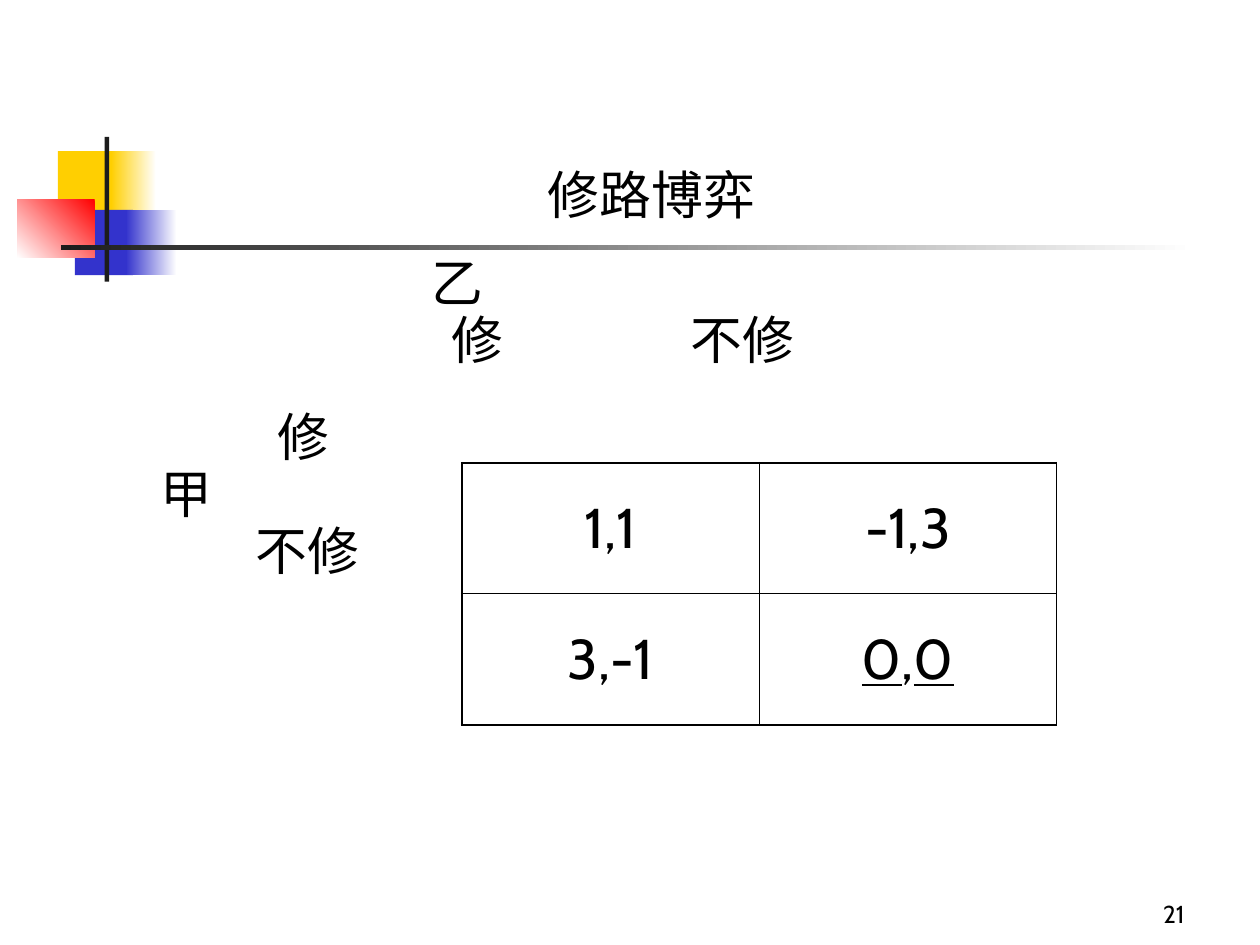
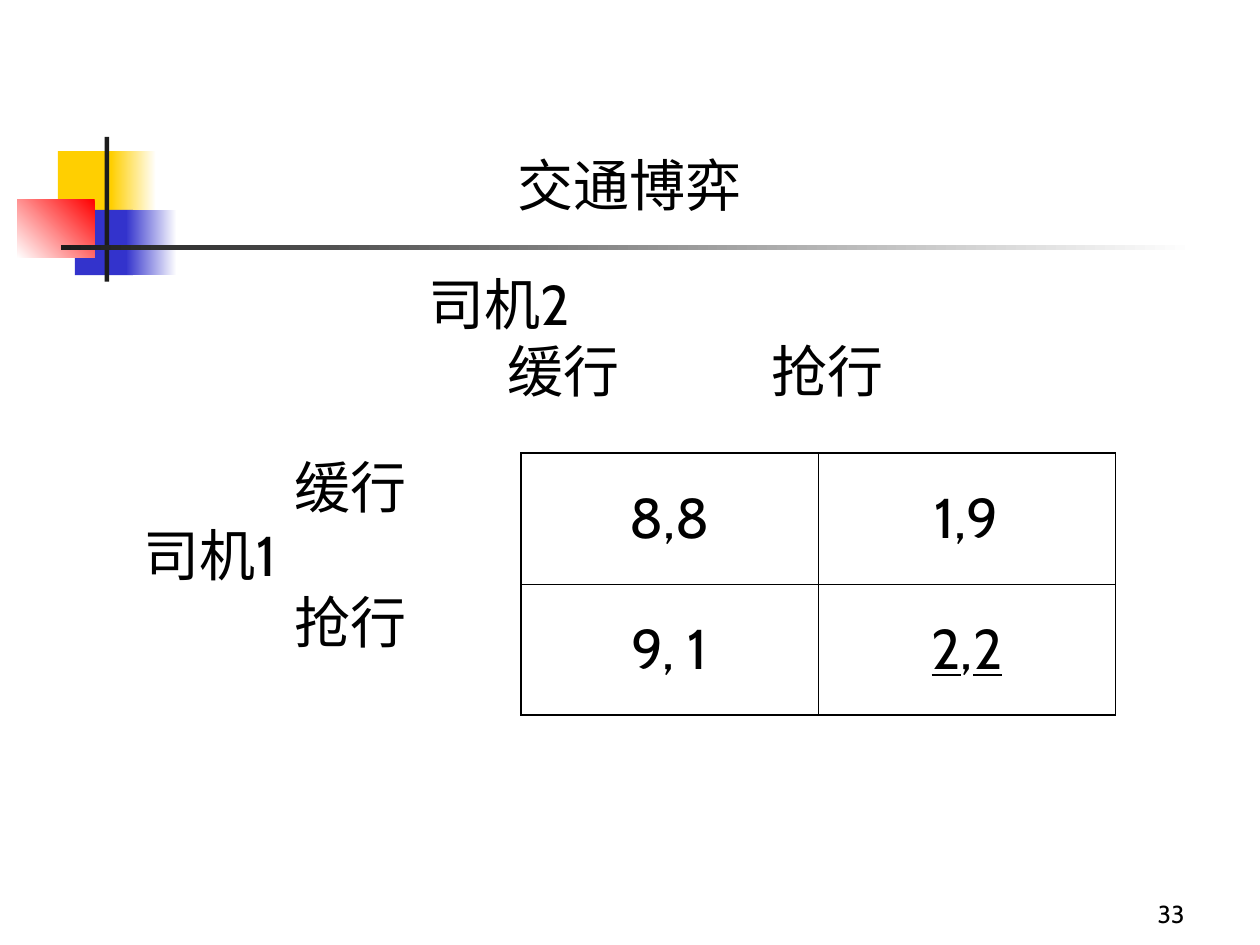
from pptx import Presentation
from pptx.dml.color import RGBColor
from pptx.enum.shapes import MSO_SHAPE
from pptx.enum.text import MSO_ANCHOR, MSO_AUTO_SIZE, PP_ALIGN
from pptx.oxml.ns import qn
from pptx.util import Cm, Pt
from lxml.etree import SubElement

FONT = "Cabin"
COLORS = {"ink": "000000", "white": "FFFFFF", "gold": "FFCF01",
          "blue": "3333CC", "red": "FF0000", "dark": "1C1C1C"}
THICK, THIN = 1.08, 0.45

DECOR = [
    ((1.17, 3.05, 1.22, 1.32), ["gold"], 0),
    ((2.24, 3.05, 0.91, 1.32), ["white", "gold"], 180),
    ((1.51, 4.23, 1.17, 1.32), ["blue"], 0),
    ((2.54, 4.23, 1.02, 1.32), ["white", "blue"], 180),
    ((0.35, 4.02, 1.56, 1.18), ["red", "white"], 225),
    ((2.11, 2.76, 0.09, 2.92), ["dark"], 0),
    ((1.23, 4.94, 22.86, 0.1), ["white", "dark"], 180),
]

GAMES = [
    {"title": "修路博弈", "size": 29.6, "pitch": 32.6, "gap": 22.9,
     "head": (2.34, 3.19, 21.59, 1.45), "body": (2.34, 5.15, 21.59, 9.7),
     "labels": [(6.35, "乙"), (6.77, "修"), (3.26, "修"),
                (0.9, "甲"), (2.82, "不修")],
     "second": (11.58, "不修"),
     "grid": (9.31, 9.33, 11.99, 5.28),
     "pays": [["1,1", "-1,3"], ["3,-1", "0,0"]], "page": "21"},
    {"title": "交通博弈", "size": 32, "pitch": 38.5, "gap": 27.8,
     "head": (1.9, 2.99, 21.59, 1.45), "body": (1.9, 5.43, 21.59, 11.4),
     "labels": [(6.74, "司机2"), (8.34, "缓行"), (4.04, "缓行"),
                (1, "司机1"), (4.04, "抢行")],
     "second": (13.65, "抢行"),
     "grid": (10.5, 9.13, 11.99, 5.28),
     "pays": [["8,8", "1,9"], ["9, 1", "2,2"]], "page": "33"},
]


def tint(name):
    """Return the named colour."""
    return RGBColor.from_string(COLORS[name])


def style(para, size, align=PP_ALIGN.LEFT):
    """Set the font and alignment of a paragraph."""
    para.font.name, para.font.size = FONT, Pt(size)
    para.font.color.rgb = tint("ink")
    para.alignment = align


def frame(shape, box, anchor):
    """Place a shape and return its text frame without margins."""
    shape.left, shape.top, shape.width, shape.height = map(Cm, box)
    text = shape.text_frame
    text.margin_left = text.margin_right = 0
    text.margin_top = text.margin_bottom = 0
    text.word_wrap, text.auto_size = True, MSO_AUTO_SIZE.NONE
    text.vertical_anchor = anchor
    return text


def add_decor(slide, master):
    """Build the corner squares and rules, then put them on the master."""
    tree = master.placeholders[0].element.getparent()
    for i, (box, names, angle) in enumerate(DECOR):
        shape = slide.shapes.add_shape(MSO_SHAPE.RECTANGLE, *map(Cm, box))
        shape.shadow.inherit = False
        shape.line.fill.background()
        if len(names) == 1:
            shape.fill.solid()
            shape.fill.fore_color.rgb = tint(names[0])
        else:
            shape.fill.gradient()
            shape.fill.gradient_angle = angle
            for stop, name in zip(shape.fill.gradient_stops, names):
                stop.color.rgb = tint(name)
        shape.element.nvSpPr.cNvPr.set("id", str(100 + i))
        tree.insert(2 + i, shape.element)


def add_title(slide, game):
    """Fill the title placeholder."""
    text = frame(slide.shapes.title, game["head"], MSO_ANCHOR.MIDDLE)
    text.text = game["title"]
    style(text.paragraphs[0], game["size"], PP_ALIGN.CENTER)


def write(para, label, indent, game):
    """Write one label without bullet at an indent."""
    para.text = label
    style(para, game["size"])
    para.line_spacing, para.space_before = Pt(game["pitch"]), Pt(0)
    props = para._p.get_or_add_pPr()
    props.set("marL", str(int(Cm(indent))))
    props.set("indent", "0")
    SubElement(props, qn("a:buNone"))
    props.append(props.find(qn("a:defRPr")))


def add_labels(slide, game):
    """List players and moves, with the second column's move beside them."""
    text = frame(slide.placeholders[1], game["body"], MSO_ANCHOR.TOP)
    for i, (x, label) in enumerate(game["labels"]):
        para = text.paragraphs[0] if i == 0 else text.add_paragraph()
        write(para, label, x, game)
    text.paragraphs[2].space_before = Pt(game["gap"])
    left, top = game["body"][:2]
    x, label = game["second"]
    line = Pt(game["pitch"]).cm
    box = slide.shapes.add_textbox(0, 0, 0, 0)
    text = frame(box, (left + x, top + line, 4, line), MSO_ANCHOR.TOP)
    write(text.paragraphs[0], label, 0, game)


def add_edges(cell, widths):
    """Draw the left, right, top and bottom borders of a cell."""
    props = cell._tc.get_or_add_tcPr()
    for side, width in zip("LRTB", widths):
        line = SubElement(props, qn("a:ln" + side), w=str(Pt(width)))
        fill = SubElement(line, qn("a:solidFill"))
        SubElement(fill, qn("a:srgbClr"), val=COLORS["ink"])


def add_grid(slide, game):
    """Add the payoff table, underlining the payoffs of the last cell."""
    pays = game["pays"]
    rows, cols = len(pays), len(pays[0])
    table = slide.shapes.add_table(rows, cols, *map(Cm, game["grid"])).table
    table.first_row = table.horz_banding = False
    for r, row in enumerate(pays):
        for c, pay in enumerate(row):
            cell = table.cell(r, c)
            cell.vertical_anchor = MSO_ANCHOR.MIDDLE
            outer = (c == 0, c == cols - 1, r == 0, r == rows - 1)
            add_edges(cell, [THICK if edge else THIN for edge in outer])
            cell.fill.background()
            para = cell.text_frame.paragraphs[0]
            style(para, 32, PP_ALIGN.CENTER)
            para.space_before = Pt(8)
            last = (r, c) == (rows - 1, cols - 1)
            for part in pay.partition(",") if last else [pay]:
                run = para.add_run()
                run.text = part
                if last and part != ",":
                    run.font.underline = True


def add_page(slide, number):
    """Add the page number at the lower right."""
    box = slide.shapes.add_textbox(*map(Cm, (18.85, 17.58, 5.28, 1.27)))
    text = box.text_frame
    text.word_wrap, text.vertical_anchor = True, MSO_ANCHOR.BOTTOM
    text.text = number
    style(text.paragraphs[0], 14, PP_ALIGN.RIGHT)


def add_game(deck, game):
    """Add one slide with a payoff matrix."""
    slide = deck.slides.add_slide(deck.slide_layouts[1])
    add_title(slide, game)
    add_labels(slide, game)
    add_grid(slide, game)
    add_page(slide, game["page"])
    return slide


def main():
    """Build and save the deck."""
    deck = Presentation()
    deck.slide_width, deck.slide_height = Cm(25.4), Cm(19.05)
    slides = [add_game(deck, game) for game in GAMES]
    add_decor(slides[0], deck.slide_master)
    deck.save("out.pptx")


if __name__ == "__main__":
    main()
